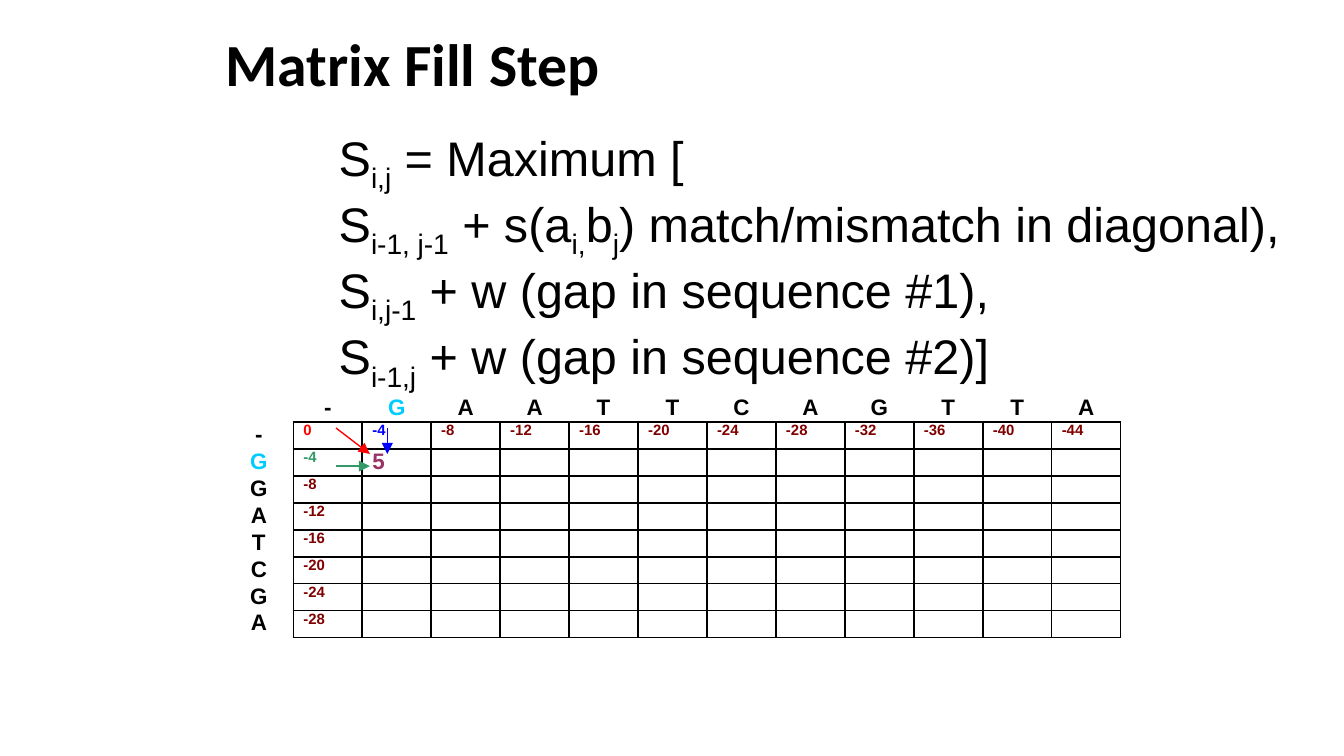
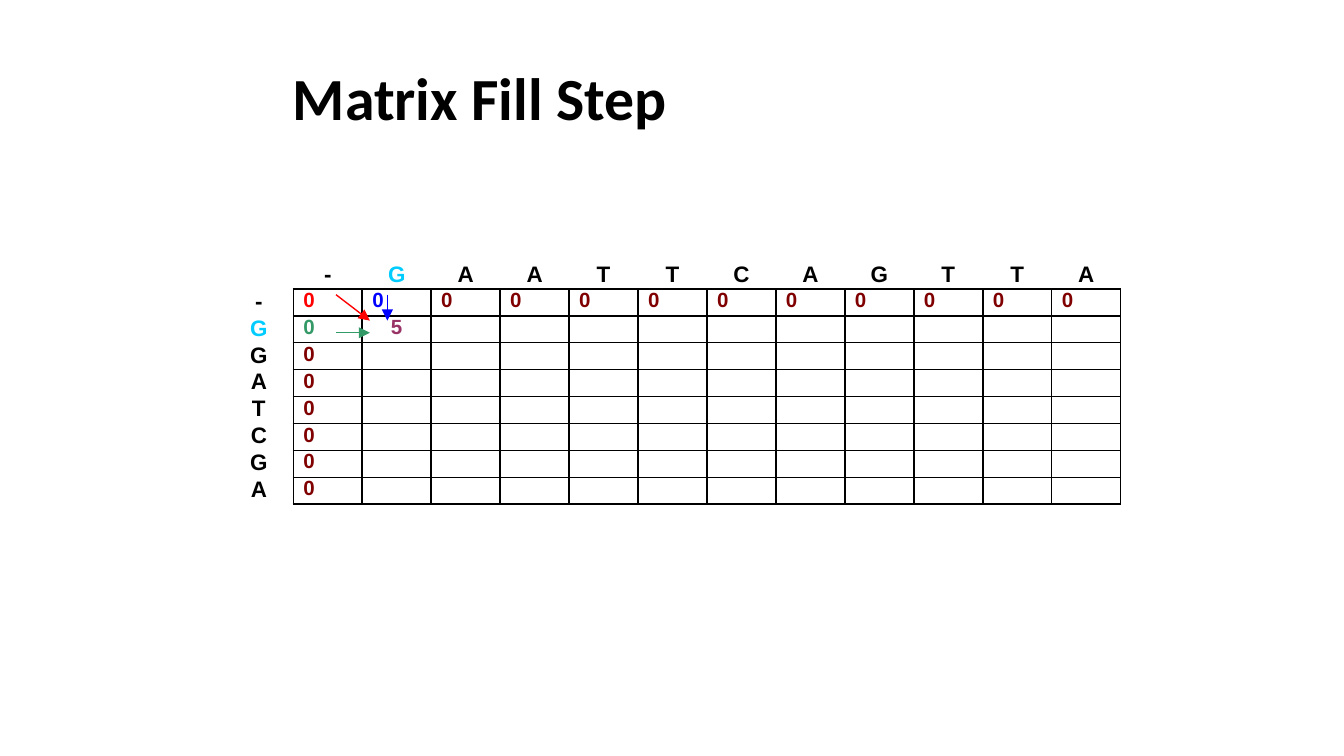
from lxml import etree
from pptx import Presentation
from pptx import util as u
from pptx.dml.color import RGBColor
from pptx.enum import shapes, text
from pptx.oxml.ns import qn

TITLE = "Matrix Fill Step"
TOP_SEQ = "-GAATTCAGTTA"
SIDE_SEQ = "-GGATCGA"
BLACK, CYAN, MAROON = "000000", "00CCFF", "800000"
RED, BLUE, GREEN, PLUM = "FF0000", "0000FF", "339966", "993366"
LEFT, CENTER = text.PP_ALIGN.LEFT, text.PP_ALIGN.CENTER
NO_GRID = "{2D5ABB26-0587-4C30-8999-92F81FD0307C}"

# Every second piece of a line is a subscript.
FORMULA = [
    ["S", "i,j", " = Maximum ["],
    ["S", "i-1, j-1", " + s(a", "i,", "b", "j", ") match/mismatch in diagonal),"],
    ["S", "i,j-1", " + w (gap in sequence #1),"],
    ["S", "i-1,j", " + w (gap in sequence #2)]"],
]
FORMULA_BOX = (6.15, 2.29, 20.12, 4.7)

# Gap penalty, title corner, table top, number size, size and side of the 5
SLIDES = [
    dict(gap=-4, title=(4.01, 0.38), top=7.47, size=8, best=(12, LEFT), lines=FORMULA),
    dict(gap=0, title=(5.28, 1.02), top=4.95, size=11, best=(11, CENTER), lines=[]),
]
TITLE_SIZE = (13.77, 1.63)
GRID_LEFT, GRID_WIDTH, GRID_HEIGHT = 4.24, 16.94, 4.57

# Ends of each arrow: x on the slide, y below the table top
ARROWS = [
    (BLUE, 7.32, 0.62, 7.32, 1.11),
    (GREEN, 6.35, 1.34, 6.99, 1.34),
    (RED, 6.35, 0.62, 6.99, 1.11),
]


def cm(*vals):
    return [u.Cm(v) for v in vals]


def rgb(code):
    return RGBColor.from_string(code)


def add_run(par, words, size, color=BLACK, bold=False, face="Arial"):
    run = par.add_run()
    run.text = words
    font = run.font
    font.name, font.size, font.bold = face, u.Pt(size), bold
    font.color.rgb = rgb(color)
    return run


def set_title(slide, corner):
    title = slide.shapes.title
    title.left, title.top, title.width, title.height = cm(*corner, *TITLE_SIZE)
    frame = title.text_frame
    frame.word_wrap = True
    frame.auto_size = text.MSO_AUTO_SIZE.SHAPE_TO_FIT_TEXT
    frame.vertical_anchor = text.MSO_ANCHOR.TOP
    par = frame.paragraphs[0]
    par.alignment = LEFT
    add_run(par, TITLE, 32, bold=True, face="Calibri")


def add_formula(slide, lines):
    frame = slide.shapes.add_textbox(*cm(*FORMULA_BOX)).text_frame
    frame.word_wrap = True
    frame.auto_size = text.MSO_AUTO_SIZE.SHAPE_TO_FIT_TEXT
    for i, line in enumerate(lines):
        par = frame.add_paragraph() if i else frame.paragraphs[0]
        for j, piece in enumerate(line):
            run = add_run(par, piece, 26)
            if j % 2:
                run._r.get_or_add_rPr().set("baseline", "-25000")


def entry(row, col, gap, size, best):
    """Return text, size, colour and alignment of a cell, or None if it is empty."""
    if row == col == 0:
        return None
    if row == 0 or col == 0:
        seq, pos = (TOP_SEQ, col - 1) if row == 0 else (SIDE_SEQ, row - 1)
        return seq[pos], 12, CYAN if pos == 1 else BLACK, CENTER
    if (row, col) == (2, 2):
        return "5", best[0], PLUM, best[1]
    if row == 1 or col == 1:
        color = {(1, 1): RED, (1, 2): BLUE, (2, 1): GREEN}.get((row, col), MAROON)
        return str(gap * (row + col - 2)), size, color, LEFT
    return None


def add_border(cell):
    props = cell._tc.get_or_add_tcPr()
    for i, side in enumerate(("lnL", "lnR", "lnT", "lnB")):
        line = etree.Element(qn("a:" + side), w=str(u.Pt(1)))
        fill = etree.SubElement(line, qn("a:solidFill"))
        etree.SubElement(fill, qn("a:srgbClr"), val=BLACK)
        props.insert(i, line)


def add_matrix(slide, top, gap, size, best):
    rows, cols = len(SIDE_SEQ) + 1, len(TOP_SEQ) + 1
    box = cm(GRID_LEFT, top, GRID_WIDTH, GRID_HEIGHT)
    table = slide.shapes.add_table(rows, cols, *box).table
    table.first_row = table.horz_banding = False
    table._tbl.tblPr.find(qn("a:tableStyleId")).text = NO_GRID
    for col in table.columns:
        col.width = u.Cm(GRID_WIDTH / cols)
    for row in table.rows:
        row.height = u.Cm(GRID_HEIGHT / rows)
    for r in range(rows):
        for c in range(cols):
            cell = table.cell(r, c)
            cell.margin_left = cell.margin_right = u.Cm(0.19)
            cell.margin_top = cell.margin_bottom = 0
            cell.fill.background()
            if r and c:
                add_border(cell)
            par = cell.text_frame.paragraphs[0]
            found = entry(r, c, gap, size, best)
            if found:
                words, points, color, par.alignment = found
                add_run(par, words, points, color, bold=True)
            else:
                etree.SubElement(par._p, qn("a:endParaRPr"), sz="800")


def add_arrows(slide, top):
    group = slide.shapes.add_group_shape()
    for color, x1, y1, x2, y2 in ARROWS:
        ends = cm(x1, top + y1, x2, top + y2)
        arrow = group.shapes.add_connector(shapes.MSO_CONNECTOR.STRAIGHT, *ends)
        arrow.line.color.rgb = rgb(color)
        arrow.line.width = u.Pt(0.75)
        etree.SubElement(arrow.line._get_or_add_ln(), qn("a:tailEnd"), type="triangle")
        etree.SubElement(arrow._element.spPr, qn("a:effectLst"))


def main():
    prs = Presentation()
    prs.slide_width, prs.slide_height = cm(25.4, 14.29)
    for plan in SLIDES:
        slide = prs.slides.add_slide(prs.slide_layouts[5])
        set_title(slide, plan["title"])
        add_matrix(slide, plan["top"], plan["gap"], plan["size"], plan["best"])
        add_arrows(slide, plan["top"])
        if plan["lines"]:
            add_formula(slide, plan["lines"])
    prs.save("out.pptx")


if __name__ == "__main__":
    main()
